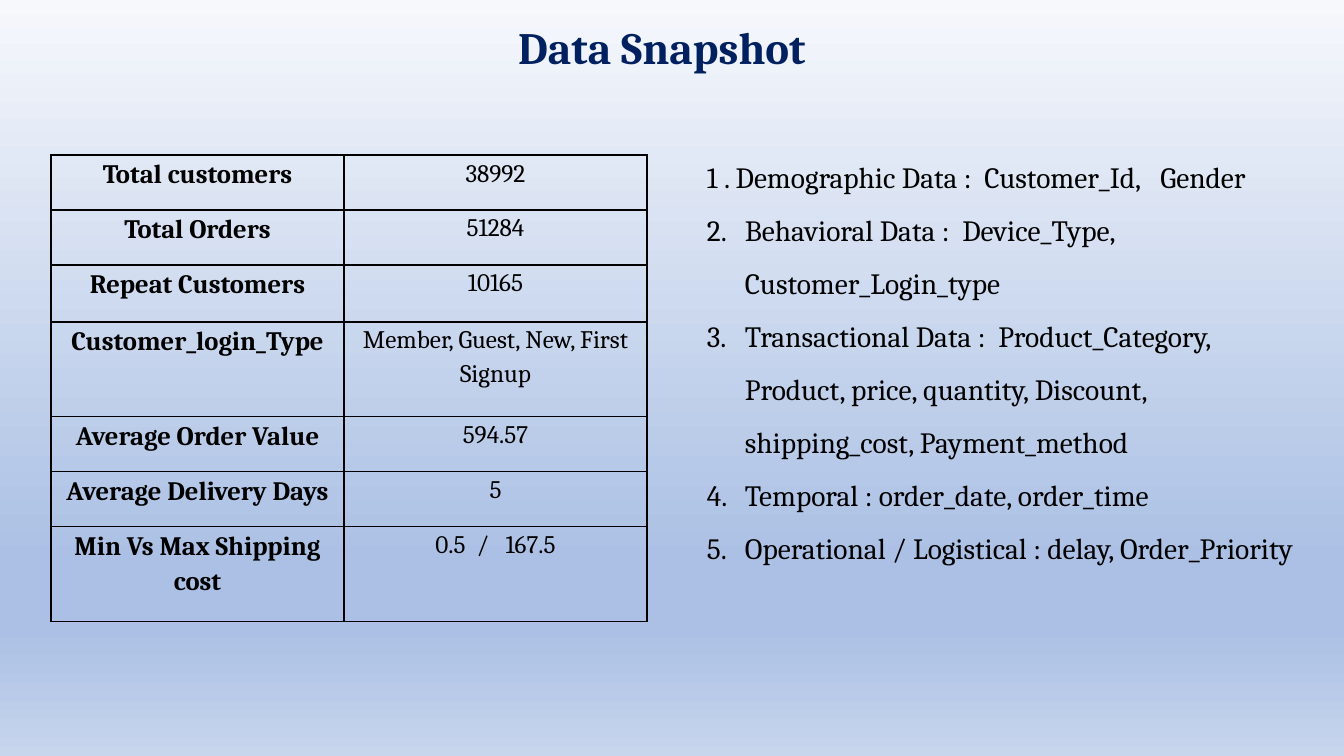
import pptx
import pptx.dml.color
import pptx.enum.text
import pptx.oxml
import pptx.oxml.ns
import pptx.util
from dataclasses import dataclass
from lxml import etree

qn = pptx.oxml.ns.qn
Pt = pptx.util.Pt
PP_ALIGN = pptx.enum.text.PP_ALIGN
EMU_PER_PX = 914400 / 100.8


@dataclass(frozen=True)
class Theme:
    font: str = "Cambria"
    title: str = "002060"
    ink: str = "000000"
    title_size: int = 32
    list_size: int = 21
    label_size: int = 19
    value_size: int = 18
    background: tuple = ((0, "F6F8FC"), (74, "ABC0E4"), (83, "ABC0E4"), (100, "C7D5ED"))


SNAPSHOT = [
    ("Total customers", "38992", 55),
    ("Total Orders", "51284", 55),
    ("Repeat Customers", "10165", 57),
    ("Customer_login_Type", "Member, Guest, New, First Signup", 95),
    ("Average Order Value", "594.57", 55),
    ("Average Delivery Days", "5", 55),
    ("Min Vs Max Shipping cost", "0.5  /   167.5", 95),
]

DATA_GROUPS = [
    "1 . Demographic Data :  Customer_Id, \tGender",
    "Behavioral Data :  Device_Type, Customer_Login_type",
    "Transactional Data :  Product_Category, Product, price, quantity, Discount, "
    "shipping_cost, Payment_method",
    "Temporal : order_date, order_time",
    "Operational / Logistical : delay, Order_Priority",
]


def px(n):
    return pptx.util.Emu(round(n * EMU_PER_PX))


class Deck:
    def __init__(self, theme):
        self.theme = theme
        self.prs = pptx.Presentation()
        self.prs.slide_width, self.prs.slide_height = px(1344), px(756)
        self.s = self.prs.slides.add_slide(self.prs.slide_layouts.get_by_name("Title Only"))

    def background(self):
        fill = self.s.background.fill
        fill.gradient()
        fill.gradient_angle = 270  # counter-clockwise, so top to bottom
        stops = self.s.element.find(".//" + qn("a:gsLst"))
        for old in list(stops):
            stops.remove(old)
        for percent, color in self.theme.background:
            stop = etree.SubElement(stops, qn("a:gs"), pos=str(percent * 1000))
            etree.SubElement(stop, qn("a:srgbClr"), val=color)

    def style(self, p, size, color, bold=False):
        for r in p.runs:
            r.font.name = self.theme.font
            r.font.size = Pt(size)
            r.font.bold = bold
            r.font.color.rgb = pptx.dml.color.RGBColor.from_string(color)

    def title(self, text, x, y, w, h):
        sp = self.s.shapes.title
        sp.left, sp.top, sp.width, sp.height = map(px, (x, y, w, h))
        tf = sp.text_frame
        tf.text = text
        tf.vertical_anchor = pptx.enum.text.MSO_ANCHOR.TOP
        tf.auto_size = pptx.enum.text.MSO_AUTO_SIZE.SHAPE_TO_FIT_TEXT
        p = tf.paragraphs[0]
        p.alignment = PP_ALIGN.CENTER
        self.style(p, self.theme.title_size, self.theme.title, True)

    def numbered_list(self, items, x, y, w, h, indent=38):
        """Number every item from 2 on; the first carries its number in its text."""
        tf = self.s.shapes.add_textbox(*map(px, (x, y, w, h))).text_frame
        tf.word_wrap = True
        tf.auto_size = pptx.enum.text.MSO_AUTO_SIZE.SHAPE_TO_FIT_TEXT
        tf.text = "\n".join(items)
        for i, p in enumerate(tf.paragraphs):
            p.line_spacing = 1.5
            self.style(p, self.theme.list_size, self.theme.ink)
            if i > 0:
                pPr = p._p.get_or_add_pPr()
                pPr.set("marL", str(px(indent)))
                pPr.set("indent", str(px(-indent)))
                etree.SubElement(pPr, qn("a:buFont"), typeface=self.theme.font)
                etree.SubElement(pPr, qn("a:buAutoNum"), type="arabicPeriod", startAt="2")

    def border(self, cell):
        tcPr = cell._tc.get_or_add_tcPr()
        for side in ("lnL", "lnR", "lnT", "lnB"):
            ln = etree.SubElement(tcPr, qn("a:" + side), w=str(Pt(1)))
            fill = etree.SubElement(ln, qn("a:solidFill"))
            etree.SubElement(fill, qn("a:srgbClr"), val=self.theme.ink)

    def table(self, rows, x, y, widths):
        height = sum(row[-1] for row in rows)
        frame = self.s.shapes.add_table(
            len(rows), len(widths), px(x), px(y), px(sum(widths)), px(height))
        table = frame.table
        table.first_row = table.horz_banding = False
        for column, width in zip(table.columns, widths):
            column.width = px(width)
        for i, (label, value, row_height) in enumerate(rows):
            table.rows[i].height = px(row_height)
            self.cell(table.cell(i, 0), label, self.theme.label_size, True)
            self.cell(table.cell(i, 1), value, self.theme.value_size, False)

    def cell(self, cell, text, size, bold):
        cell.margin_left = cell.margin_right = px(7)
        cell.margin_top = cell.margin_bottom = 0
        self.border(cell)
        cell.fill.background()
        cell.text = text
        p = cell.text_frame.paragraphs[0]
        p.alignment = PP_ALIGN.CENTER
        p.line_spacing = 1.15
        p.space_after = Pt(8)
        self.style(p, size, self.theme.ink, bold)


def main():
    deck = Deck(Theme())
    deck.background()
    deck.title("Data Snapshot", 327, 15, 670, 65)
    deck.numbered_list(DATA_GROUPS, 697, 137, 620, 485)
    deck.table(SNAPSHOT, 51, 155, (293, 303))
    deck.prs.save("out.pptx")


if __name__ == "__main__":
    main()
